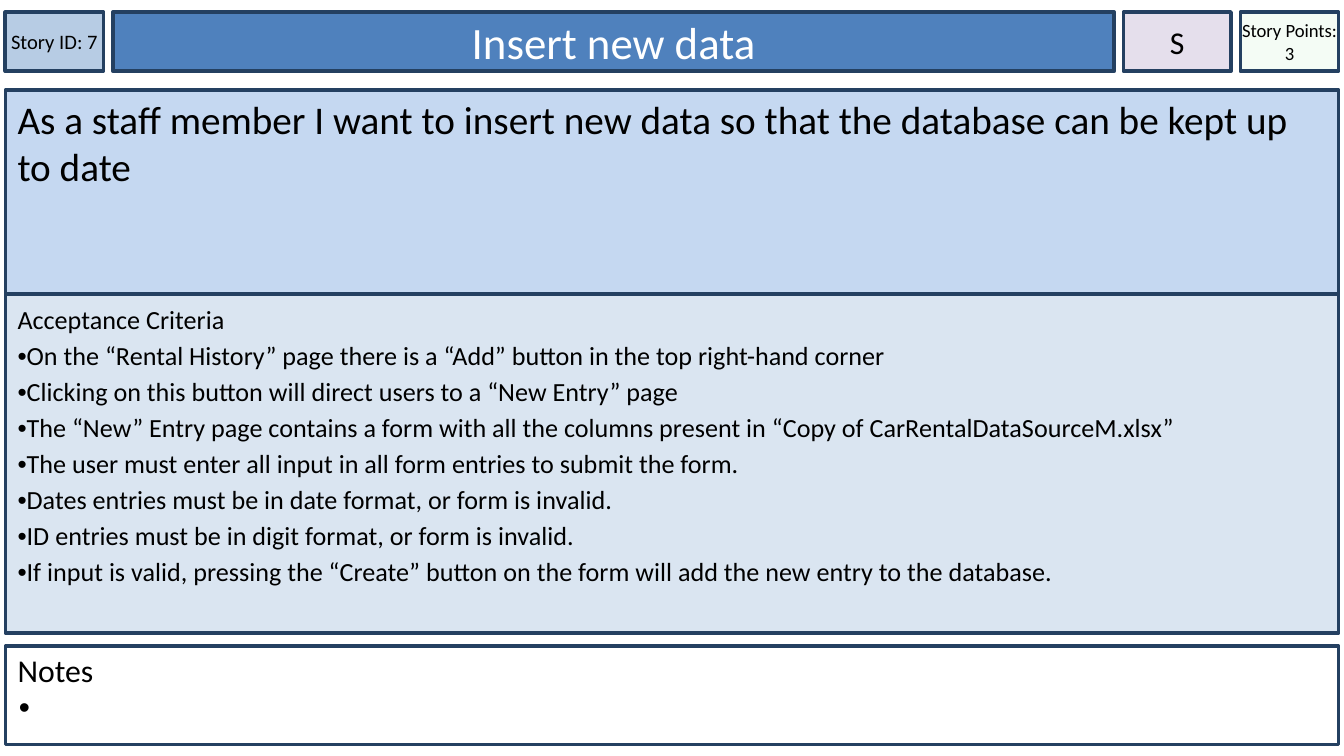
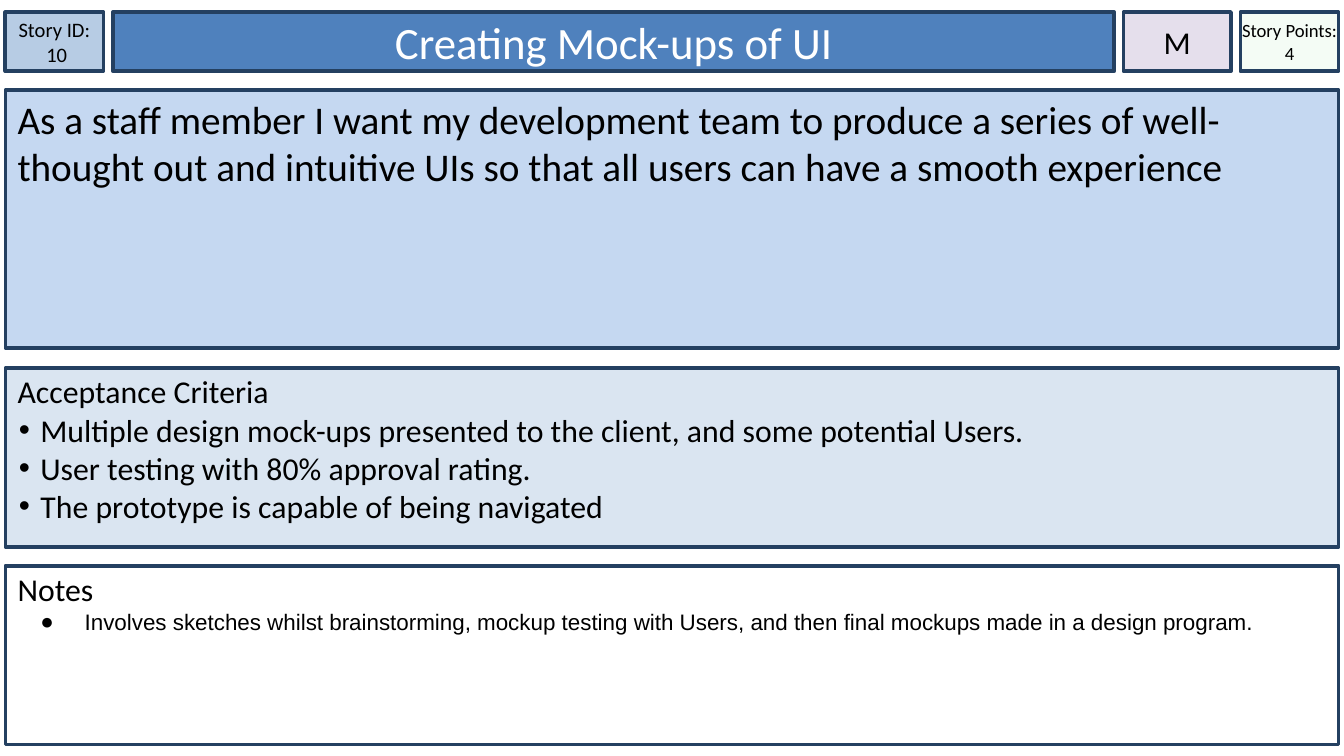
"""Build the user story cards, one story a slide."""
import dataclasses

import lxml.etree
import pptx
import pptx.dml.color
import pptx.enum.shapes
import pptx.enum.text
import pptx.oxml.ns
import pptx.util

Inches = pptx.util.Inches
ALIGN = pptx.enum.text.PP_ALIGN
ANCHOR = pptx.enum.text.MSO_ANCHOR


@dataclasses.dataclass(frozen=True)
class Theme:
    """Colours, fonts and type sizes of the cards."""
    edge: str = "244061"
    ink: str = "000000"
    white: str = "FFFFFF"
    badge: str = "B7CCE4"
    title: str = "4F81BD"
    rank: str = "E5DFEC"
    points: str = "CCF0CD"
    story: str = "C5D8F1"
    tests: str = "DAE5F1"
    font: str = "Calibri"
    plain: str = "Arial"
    head: int = 24
    lead: int = 21
    body: int = 17
    list: int = 14
    note: int = 12
    small: int = 11
    tiny: int = 10


THEME = Theme()
WIDE = Inches(10)
LEFT, WIDTH = 0.04, 9.92
TOP, HIGH = 0.09, 0.44
HANG = {"bullet": "•", "left": 0.17, "hang": -0.16}
DEEP = {"bullet": "●", "left": 0.5, "hang": -0.33}


def tint(hue):
    """Return a colour from its hex digits."""
    return pptx.dml.color.RGBColor.from_string(hue)


def apply(item, values):
    """Set each named attribute on the item."""
    for name, value in values.items():
        setattr(item, name, value)


def child(node, tag, **values):
    """Add a drawing element below the node."""
    return lxml.etree.SubElement(node, pptx.oxml.ns.qn(tag), values)


def fade(shape, share):
    """Make the solid fill of a shape partly clear."""
    hue = next(shape._element.spPr.iter(pptx.oxml.ns.qn("a:srgbClr")))
    child(hue, "a:alpha", val=str(share * 1000))


def box(slide, place, fill, middle=False, side=0.09, top=0.04):
    """Draw a framed panel and return its shape."""
    rect = pptx.enum.shapes.MSO_SHAPE.RECTANGLE
    shape = slide.shapes.add_shape(rect, *map(Inches, place))
    shape.shadow.inherit = False
    shape.fill.solid()
    shape.fill.fore_color.rgb = tint(fill)
    shape.line.color.rgb = tint(THEME.edge)
    shape.line.width = pptx.util.Pt(2)
    apply(shape.text_frame, {
        "word_wrap": True,
        "vertical_anchor": ANCHOR.MIDDLE if middle else ANCHOR.TOP,
        "margin_left": Inches(side),
        "margin_right": Inches(side),
        "margin_top": Inches(top),
        "margin_bottom": Inches(0.04),
    })
    return shape


def mark(para, bullet, left, hang):
    """Give a paragraph a hanging bullet."""
    props = para._p.get_or_add_pPr()
    props.set("marL", str(Inches(left)))
    props.set("indent", str(Inches(hang)))
    child(child(props, "a:buClr"), "a:srgbClr", val=THEME.ink)
    child(props, "a:buFont", typeface=THEME.plain)
    child(props, "a:buChar", char=bullet)


def write(para, text, size, hue=THEME.ink, font=THEME.font):
    """Add one run of text to a paragraph."""
    run = para.add_run()
    run.text = text
    apply(run.font, {"size": pptx.util.Pt(size), "name": font})
    run.font.color.rgb = tint(hue)


def lines(shape, texts, size, align=ALIGN.LEFT, hue=THEME.ink):
    """Fill a panel with plain paragraphs."""
    frame = shape.text_frame
    for spot, text in enumerate(texts):
        para = frame.add_paragraph() if spot else frame.paragraphs[0]
        para.alignment = align
        write(para, text, size, hue)


def points(shape, texts, style, size=THEME.body, font=THEME.font):
    """Add bulleted paragraphs to a panel."""
    for text in texts:
        para = shape.text_frame.add_paragraph()
        para.alignment = ALIGN.LEFT
        mark(para, **style)
        write(para, text, size, font=font)


def dense(shape, texts):
    """Add flush points with a typed dot and open line spacing."""
    frame = shape.text_frame
    for text in texts:
        para = frame.add_paragraph()
        para.alignment = ALIGN.LEFT
        write(para, "•", THEME.list, font=THEME.plain)
        write(para, text, THEME.list)
    for para in frame.paragraphs:
        para.line_spacing = 1.15


def label(slide, left, wide, fill, texts, size, hue=THEME.ink, side=0):
    """Draw one box of the top row and return its shape."""
    shape = box(slide, (left, TOP, wide, HIGH), fill, True, side)
    lines(shape, texts, size, ALIGN.CENTER, hue)
    return shape


def panel(slide, top, high, fill, head, size, inset=0.03):
    """Draw a full-width panel that opens with a line of text."""
    shape = box(slide, (LEFT, top, WIDTH, high), fill, top=inset)
    lines(shape, [head], size)
    return shape


def card(deck, head, story, spans, size):
    """Add a card and return its criteria and notes panels."""
    slide = deck.slides.add_slide(deck.slide_layouts[6])
    badge, title, rank, score = head
    first, second, third = spans
    label(slide, LEFT, 0.73, THEME.badge, badge, THEME.small)
    label(slide, 0.84, 7.45, THEME.title, [title], THEME.head,
          THEME.white, 0.09)
    panel(slide, *first, THEME.story, story, THEME.lead, 0.04)
    tests = panel(slide, *second, THEME.tests, "Acceptance Criteria", size)
    fade(label(slide, 9.23, 0.73, THEME.points,
               [f"Story Points: {score}"], THEME.tiny), 20)
    label(slide, 8.36, 0.8, THEME.rank, [rank], THEME.body)
    notes = panel(slide, *third, THEME.white, "Notes", THEME.body)
    return tests, notes


def main():
    """Build both cards and save the deck."""
    deck = pptx.Presentation()
    apply(deck, {"slide_width": WIDE, "slide_height": WIDE * 9 // 16})

    tests, notes = card(
        deck, (["Story ID: 7"], "Insert new data", "S", 3),
        "As a staff member I want to insert new data so that the database "
        "can be kept up to date",
        ((0.67, 1.52), (2.19, 2.52), (4.81, 0.73)), THEME.list)
    dense(tests, (
        "On the “Rental History” page there is a “Add” button in the top "
        "right-hand corner",
        "Clicking on this button will direct users to a “New Entry” page",
        "The “New” Entry page contains a form with all the columns present "
        "in “Copy of CarRentalDataSourceM.xlsx”",
        "The user must enter all input in all form entries to submit the form.",
        "Dates entries must be in date format, or form is invalid.",
        "ID entries must be in digit format, or form is invalid.",
        "If input is valid, pressing the “Create” button on the form will "
        "add the new entry to the database.",
    ))
    points(notes, [" "], HANG)

    tests, notes = card(
        deck, (["Story ID:", " 10"], "Creating Mock-ups of UI", "M", 4),
        "As a staff member I want my development team to produce a series of "
        "well-thought out and intuitive UIs so that all users can have a "
        "smooth experience",
        ((0.67, 1.92), (2.74, 1.33), (4.21, 1.33)), THEME.body)
    points(tests, (
        "Multiple design mock-ups presented to the client, and some "
        "potential Users.",
        "User testing with 80% approval rating.",
        "The prototype is capable of being navigated",
    ), HANG)
    points(notes, [
        "Involves sketches whilst brainstorming, mockup testing with Users, "
        "and then final mockups made in a design program.",
    ], DEEP, THEME.note, THEME.plain)

    deck.save("out.pptx")


if __name__ == "__main__":
    main()
